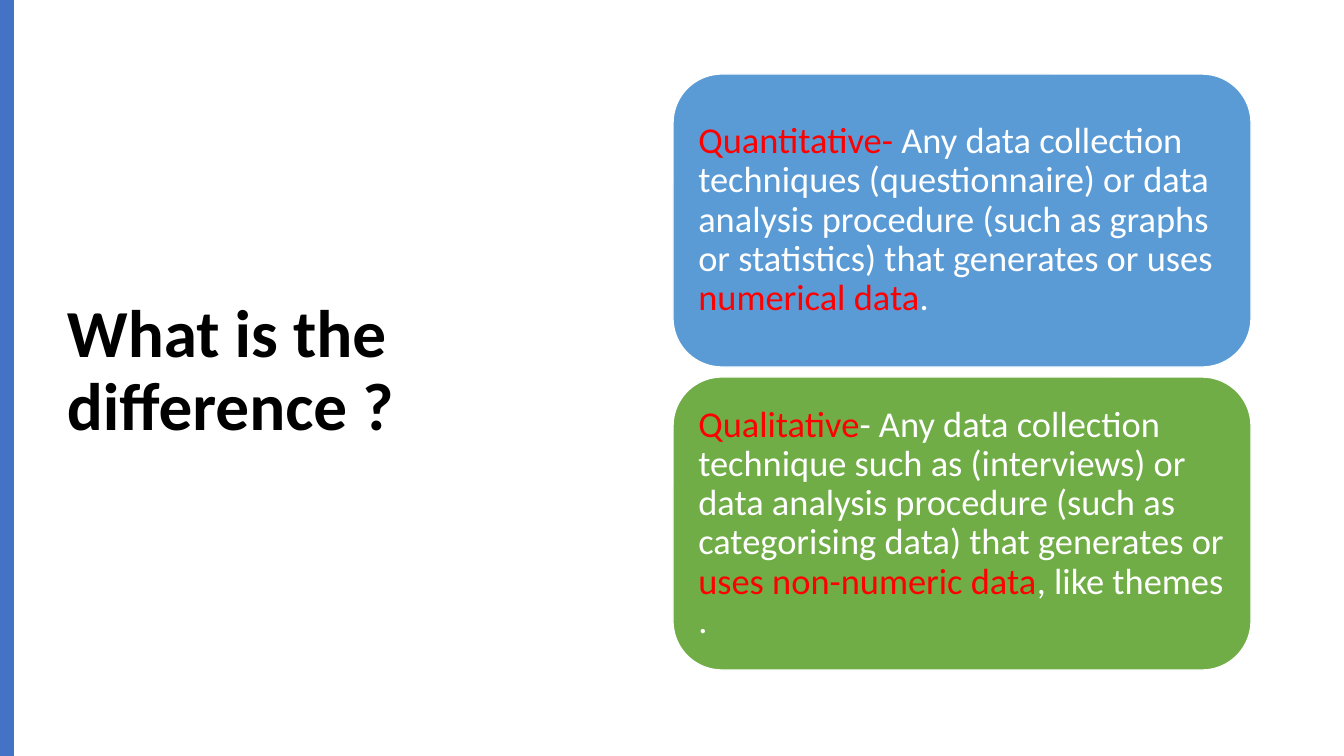
from pptx import Presentation
from pptx.dml.color import RGBColor
from pptx.enum.shapes import MSO_SHAPE as Shape
from pptx.enum.text import MSO_ANCHOR as Anchor, PP_ALIGN as Align
from pptx.util import Emu, Pt

BLACK = RGBColor(0x00, 0x00, 0x00)
WHITE = RGBColor(0xFF, 0xFF, 0xFF)
RED = RGBColor(0xFF, 0x00, 0x00)
BAR_BLUE = RGBColor(0x44, 0x72, 0xC4)
CARD_BLUE = RGBColor(0x5B, 0x9B, 0xD5)
CARD_GREEN = RGBColor(0x70, 0xAD, 0x47)

# Content
TITLE = "What is the difference ?"
CARDS = [
    (CARD_BLUE, [
        ("Quantitative- ", RED),
        ("Any data collection techniques (questionnaire) or data analysis "
         "procedure (such as graphs or statistics) that generates or uses ", WHITE),
        ("numerical data", RED),
        (".", WHITE),
    ]),
    (CARD_GREEN, [
        ("Qualitative", RED),
        ("- Any data collection technique such as (interviews) or data analysis "
         "procedure (such as categorising data) that generates or ", WHITE),
        ("uses non-numeric data", RED),
        (", like themes .", WHITE),
    ]),
]

# Layout in px, 100.8 px to the inch
PAGE_WIDTH, PAGE_HEIGHT = 1344, 756
BAR_WIDTH = 14
TITLE_AREA = (57, 69, 572, 607)
CARD_LEFT, CARD_TOP, CARD_WIDTH, CARD_HEIGHT = 673, 74, 578, 293
CARD_GAP = 10
CARD_INSET = 11


def px(length):
    return Emu(round(length * 914400 / 100.8))


def write(box, spans, size, bold=False, inset=None):
    frame = box.text_frame
    frame.word_wrap = True
    frame.vertical_anchor = Anchor.MIDDLE
    if inset is not None:
        frame.margin_left = frame.margin_right = px(inset)
        frame.margin_top = frame.margin_bottom = px(inset)
    para = frame.paragraphs[0]
    para.alignment = Align.LEFT
    para.line_spacing = 0.9
    for text, color in spans:
        span = para.add_run()
        span.text = text
        span.font.name = "Calibri"
        span.font.size = Pt(size)
        span.font.bold = bold
        span.font.color.rgb = color


def add_block(page, kind, area, fill):
    block = page.shapes.add_shape(kind, *map(px, area))
    block.shadow.inherit = False
    block.fill.solid()
    block.fill.fore_color.rgb = fill
    block.line.fill.background()
    return block


deck = Presentation()
deck.slide_width, deck.slide_height = px(PAGE_WIDTH), px(PAGE_HEIGHT)
page = deck.slides.add_slide(deck.slide_layouts[6])

# Title and side bar
title = page.shapes.add_textbox(*map(px, TITLE_AREA))
write(title, [(TITLE, BLACK)], 48, bold=True)
add_block(page, Shape.RECTANGLE, (0, 0, BAR_WIDTH, PAGE_HEIGHT), BAR_BLUE)

# Definition cards
for index, (fill, spans) in enumerate(CARDS):
    top = CARD_TOP + index * (CARD_HEIGHT + CARD_GAP)
    card = add_block(page, Shape.ROUNDED_RECTANGLE,
                     (CARD_LEFT, top, CARD_WIDTH, CARD_HEIGHT), fill)
    card.line.color.rgb = WHITE
    card.line.width = Pt(1)
    write(card, spans, 26, inset=CARD_INSET)

deck.save("out.pptx")
